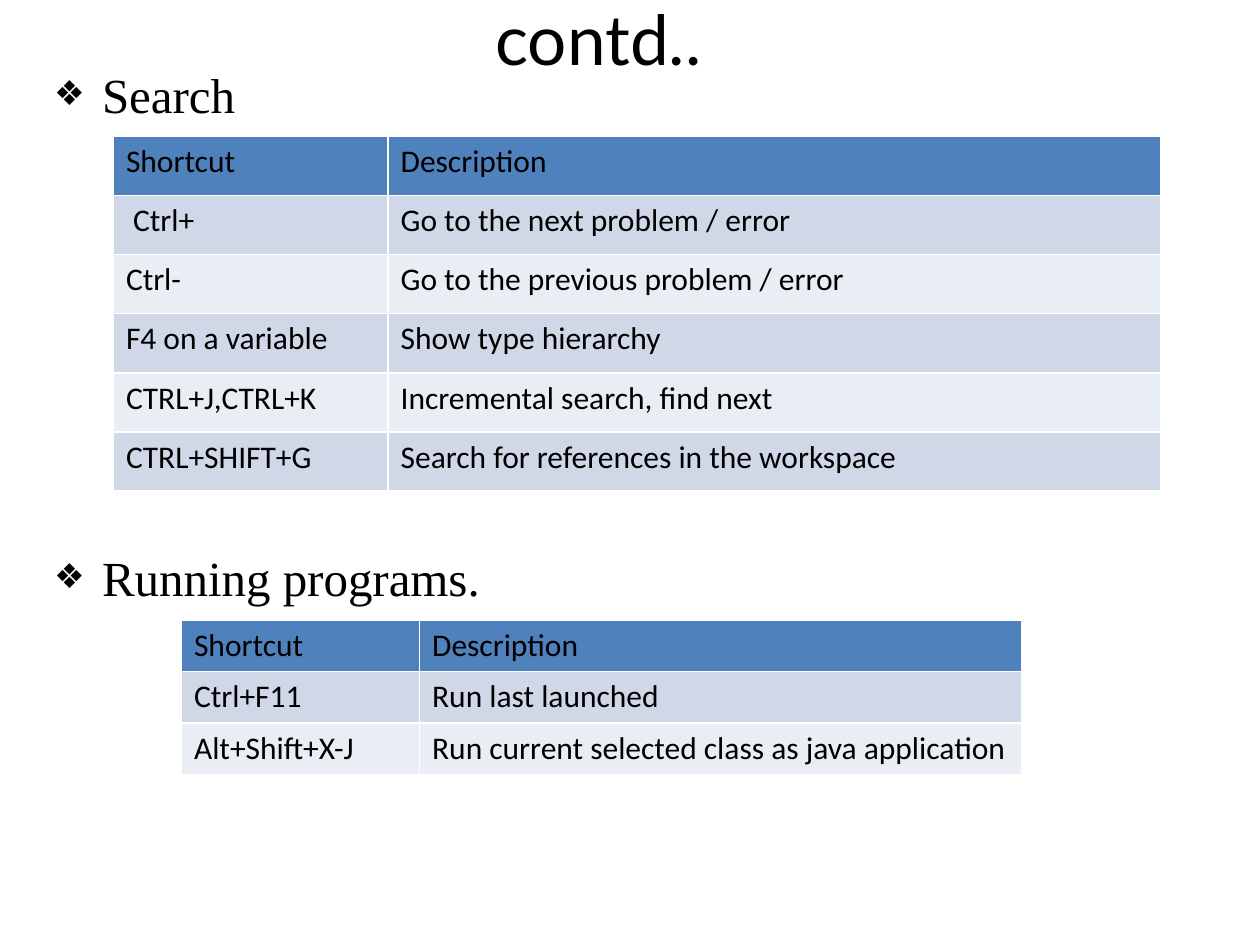
from pptx import Presentation
from pptx import util as u
from pptx.dml.color import RGBColor
from pptx.enum import text
from pptx.oxml import parse_xml
from pptx.oxml.ns import nsdecls

BLACK = "000000"
HEADER_FILL = "4F81BD"
BAND_FILLS = ("D0D8E8", "E9EDF4")

SEARCH_ROWS = [
    ("Shortcut", "Description"),
    (" Ctrl+", "Go to the next problem / error"),
    ("Ctrl-", "Go to the previous problem / error"),
    ("F4 on a variable", "Show type hierarchy"),
    ("CTRL+J,CTRL+K", "Incremental search, find next"),
    ("CTRL+SHIFT+G", "Search for references in the workspace"),
]
RUNNING_ROWS = [
    ("Shortcut", "Description"),
    ("Ctrl+F11", "Run last launched"),
    ("Alt+Shift+X-J", "Run current selected class as java application"),
]


def color(hex_value):
    return RGBColor.from_string(hex_value)


def write(paragraph, content, font="Calibri", size=18, align=text.PP_ALIGN.LEFT,
          space_before=0):
    paragraph.alignment = align
    paragraph.space_before = u.Pt(space_before)
    run = paragraph.add_run()
    run.text = content
    run.font.name = font
    run.font.size = u.Pt(size)
    run.font.bold = False
    run.font.color.rgb = color(BLACK)


def place(shape, left, top, width, height):
    shape.left, shape.top = u.Inches(left), u.Inches(top)
    shape.width, shape.height = u.Inches(width), u.Inches(height)


def add_bullet(paragraph):
    properties = paragraph._p.get_or_add_pPr()
    properties.set("marL", str(u.Inches(0.38)))
    properties.set("indent", str(u.Inches(-0.38)))
    for element in ('buSzPct {} val="70000"', 'buFont {} typeface="Arial"', 'buChar {} char="❖"'):
        properties.append(parse_xml("<a:" + element.format(nsdecls("a")) + "/>"))


def set_title(title):
    place(title, 0.08, 0.1, 9.34, 0.4)
    frame = title.text_frame
    frame.auto_size = text.MSO_AUTO_SIZE.NONE
    frame.vertical_anchor = text.MSO_ANCHOR.MIDDLE
    write(frame.paragraphs[0], "contd..", font="Lato", size=39.6,
          align=text.PP_ALIGN.CENTER)


def set_headings(body):
    """Fill the list, leaving room for a table between its two headings."""
    place(body, 0.33, 0.42, 9, 6.25)
    frame = body.text_frame
    frame.auto_size = text.MSO_AUTO_SIZE.NONE
    frame.margin_top = u.Inches(0.09)
    headings = (("Search", 0), ("Running programs.", 242.6))
    for index, (heading, gap) in enumerate(headings):
        paragraph = frame.add_paragraph() if index else frame.paragraphs[0]
        write(paragraph, heading, font="Times New Roman", size=28, space_before=gap)
        add_bullet(paragraph)


def add_shortcut_table(slide, rows, left, top, column_widths, row_height):
    table = slide.shapes.add_table(
        len(rows), len(column_widths), u.Inches(left), u.Inches(top),
        u.Inches(sum(column_widths)), u.Inches(row_height * len(rows))).table
    for column, width in zip(table.columns, column_widths):
        column.width = u.Inches(width)
    for row_index, values in enumerate(rows):
        table.rows[row_index].height = u.Inches(row_height)
        fill = BAND_FILLS[(row_index - 1) % 2] if row_index else HEADER_FILL
        for column_index, value in enumerate(values):
            cell = table.cell(row_index, column_index)
            cell.fill.solid()
            cell.fill.fore_color.rgb = color(fill)
            write(cell.text_frame.paragraphs[0], value)


def main():
    presentation = Presentation()
    presentation.slide_width = u.Inches(10)
    presentation.slide_height = u.Inches(7.5)
    slide = presentation.slides.add_slide(presentation.slide_layouts[1])
    set_title(slide.shapes.title)
    set_headings(slide.placeholders[1])
    add_shortcut_table(slide, RUNNING_ROWS, 1.44, 4.92, (1.89, 4.78), 0.41)
    add_shortcut_table(slide, SEARCH_ROWS, 0.9, 1.08, (2.18, 6.13), 0.47)
    presentation.save("out.pptx")


if __name__ == "__main__":
    main()
